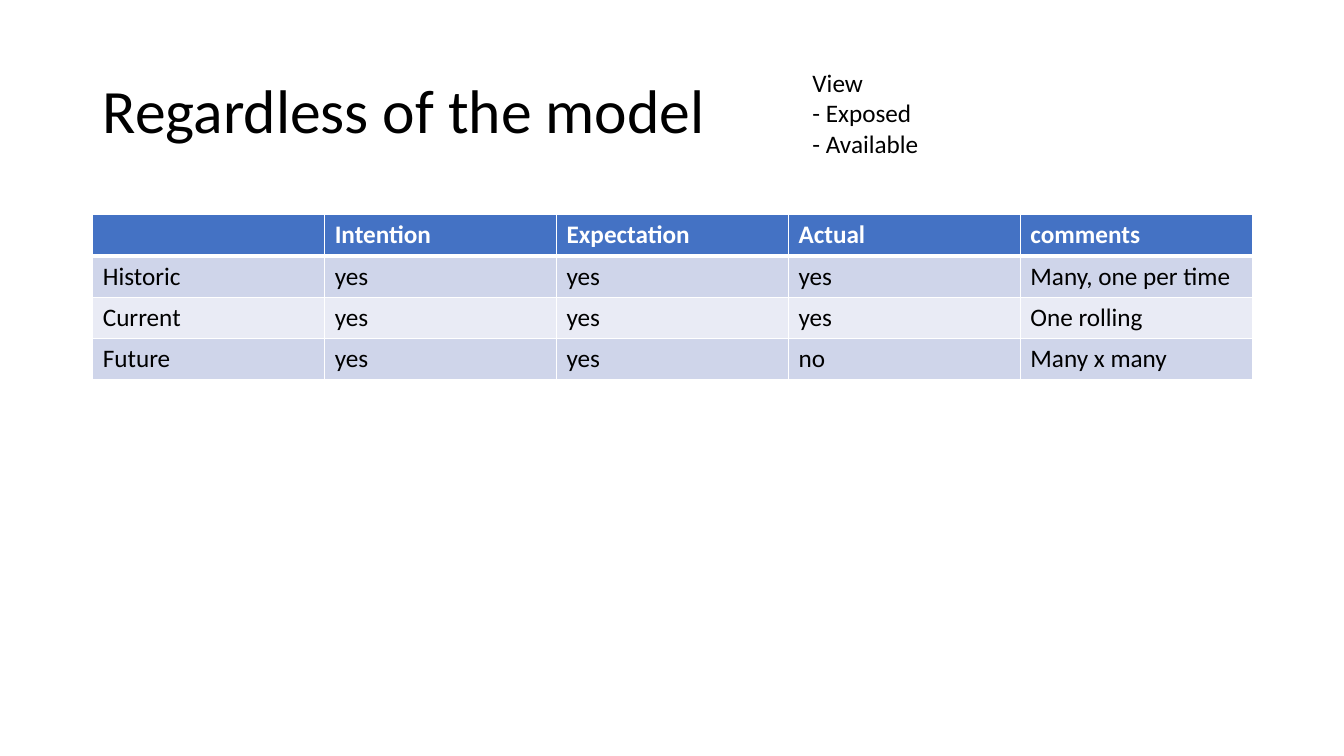
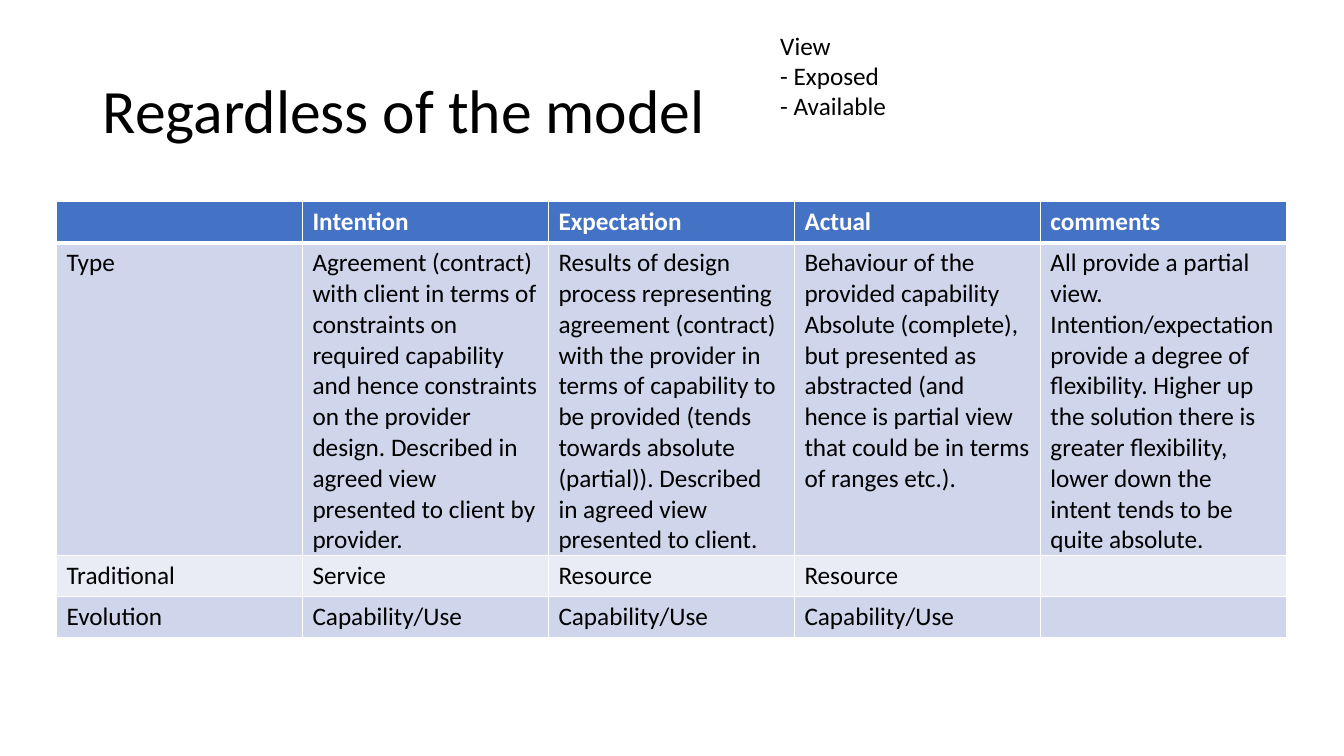
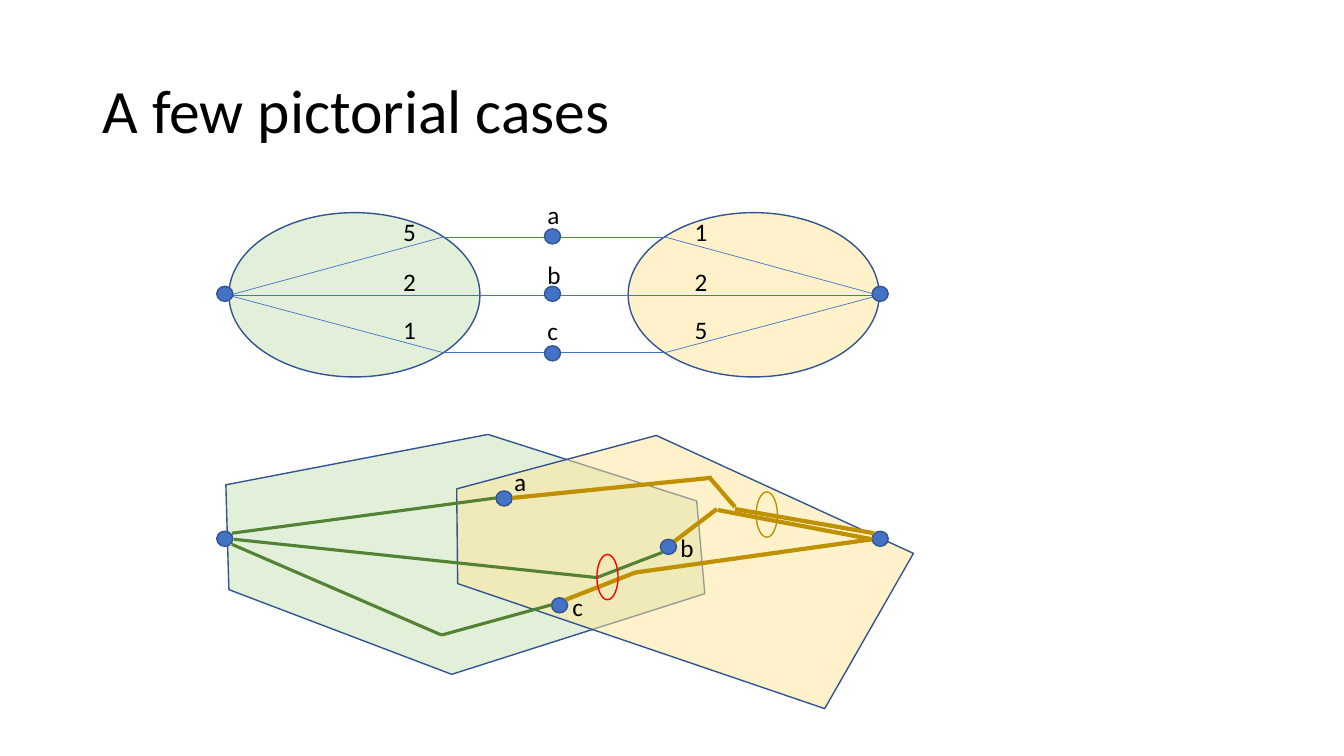
"""Build three slides: two comparison tables and a page of network diagrams."""
import itertools

import lxml.etree
import pptx
import pptx.dml.color
import pptx.enum.shapes
import pptx.enum.text
import pptx.oxml
import pptx.oxml.ns
import pptx.util

Inches = pptx.util.Inches
Pt = pptx.util.Pt
RGBColor = pptx.dml.color.RGBColor
Anchor = pptx.enum.text.MSO_ANCHOR
qn = pptx.oxml.ns.qn

FONT = "Calibri"
BLACK = RGBColor(0x00, 0x00, 0x00)
WHITE = RGBColor(0xFF, 0xFF, 0xFF)
BLUE = RGBColor(0x44, 0x72, 0xC4)
NAVY = RGBColor(0x32, 0x54, 0x91)
BAND_DARK = RGBColor(0xCF, 0xD5, 0xEA)
BAND_LIGHT = RGBColor(0xE9, 0xEB, 0xF5)
PALE_GREEN = RGBColor(0xE2, 0xF0, 0xD9)
PALE_GOLD = RGBColor(0xFF, 0xE6, 0x99)
GREEN = RGBColor(0x54, 0x82, 0x35)
GOLD = RGBColor(0xBF, 0x90, 0x00)
RED = RGBColor(0xFF, 0x00, 0x00)

ROW_HEIGHT = 0.41
VIEW_NOTE = "View\n- Exposed\n- Available"
HEADER = ("", "Intention", "Expectation", "Actual", "comments")
TABLE_PAGES = [
    {
        "title": "Regardless of the model",
        "note_at": (7.96, 0.62),
        "table_at": (0.92, 2.13),
        "column_width": 2.3,
        "row_heights": [ROW_HEIGHT] * 4,
        "rows": [
            HEADER,
            ("Historic", "yes", "yes", "yes", "Many, one per time"),
            ("Current", "yes", "yes", "yes", "One rolling"),
            ("Future", "yes", "yes", "no", "Many x many"),
        ],
    },
    {
        "title": "Regardless of the model",
        "note_at": (7.64, 0.25),
        "table_at": (0.56, 2.0),
        "column_width": 2.44,
        "row_heights": [ROW_HEIGHT, 3.09, ROW_HEIGHT, ROW_HEIGHT],
        "rows": [
            HEADER,
            (
                "Type",
                "Agreement (contract) with client in terms of constraints on required "
                "capability and hence constraints on the provider design. Described in "
                "agreed view presented to client by provider.",
                "Results of design process representing agreement (contract) with the "
                "provider in terms of capability to be provided (tends towards absolute "
                "(partial)). Described in agreed view presented to client.",
                "Behaviour of the provided capability Absolute (complete), but presented "
                "as abstracted (and hence is partial view that could be in terms of "
                "ranges etc.).",
                "All provide a partial view. Intention/expectation provide a degree of "
                "flexibility. Higher up the solution there is greater flexibility, lower "
                "down the intent tends to be quite absolute.",
            ),
            ("Traditional", "Service", "Resource", "Resource", ""),
            ("Evolution", "Capability/Use", "Capability/Use", "Capability/Use", ""),
        ],
    },
]

CASES_TITLE = "A few pictorial cases"
DOMAIN_SIZE = (2.49, 1.63)
DOMAINS = [((2.27, 2.11), PALE_GREEN, None), ((6.23, 2.11), PALE_GOLD, 50)]
LEFT_HUB, RIGHT_HUB = (2.27, 2.93), (8.72, 2.93)
LINKS = [(4.4, 6.59, 2.35), (4.76, 6.23, 2.93), (4.4, 6.59, 3.5)]
COSTS = [(3.9, "521"), (6.79, "125")]
COST_TOPS = (2.1, 2.59, 3.07)
REGIONS = [
    ([(2.24, 4.81), (4.84, 4.31), (6.91, 4.97), (6.99, 5.89), (4.48, 6.69), (2.27, 5.85)],
     PALE_GREEN, None),
    ([(6.51, 4.32), (4.53, 4.85), (4.54, 5.79), (8.18, 7.03), (9.06, 5.49)],
     PALE_GOLD, 50),
]
NODE_SIZE = (0.16, 0.15)
NODES = [
    (4.92, 4.87), (6.55, 5.35), (5.47, 5.93),
    (5.4, 2.27), (5.4, 2.84), (5.4, 3.43),
    (2.15, 5.27), (8.65, 5.27), (2.15, 2.84), (8.65, 2.84),
]
ROUTES = [
    (GREEN, 2.25, [(2.32, 5.35), (5.92, 5.73), (6.57, 5.48)]),
    (GOLD, 3, [(5.61, 5.95), (6.3, 5.68), (8.65, 5.35)]),
    (GOLD, 3, [(6.69, 5.37), (7.11, 5.05)]),
    (GOLD, 3, [(7.12, 5.06), (8.65, 5.35)]),
    (GOLD, 3, [(5.08, 4.94), (7.06, 4.74)]),
    (GOLD, 3, [(7.03, 4.73), (7.29, 5.03)]),
    (GOLD, 3, [(7.29, 5.05), (8.67, 5.29)]),
    (GREEN, 2.25, [(2.3, 5.4), (4.38, 6.3), (5.47, 6.0)]),
    (GREEN, 2.25, [(2.3, 5.29), (4.92, 4.94)]),
]
RING_SIZE = (0.21, 0.45)
RINGS = [((5.92, 5.5), RED), ((7.5, 4.88), GOLD)]
NODE_LABELS = [
    ("a", 5.33, 1.93), ("b", 5.33, 2.52), ("c", 5.33, 3.08),
    ("a", 5.0, 4.58), ("b", 6.65, 5.23), ("c", 5.58, 5.82),
]


def write(frame, text, *, size=18, color=BLACK, bold=False, spacing=None):
    """Fill a text frame, one paragraph per line of text."""
    for index, line in enumerate(text.split("\n")):
        para = frame.paragraphs[0] if index == 0 else frame.add_paragraph()
        para.line_spacing = spacing
        span = para.add_run()
        span.text = line
        span.font.name = FONT
        span.font.size = Pt(size)
        span.font.color.rgb = color
        span.font.bold = bold


def add_text(page, text, at, extent, *, wrap=True, anchor=Anchor.TOP, **style):
    """Add a text box at a place in inches."""
    box = page.shapes.add_textbox(*map(Inches, at + extent))
    box.text_frame.word_wrap = wrap
    box.text_frame.vertical_anchor = anchor
    write(box.text_frame, text, **style)


def add_page(deck, title):
    """Add a blank page with the shared title."""
    page = deck.slides.add_slide(deck.slide_layouts[6])
    add_text(page, title, (0.92, 0.4), (11.5, 1.45),
             anchor=Anchor.MIDDLE, size=44, spacing=0.9)
    return page


def set_borders(cell, top, bottom):
    """Give a cell white borders of the given widths in points."""
    properties = cell._tc.get_or_add_tcPr()
    widths = {"L": 1, "R": 1, "T": top, "B": bottom}
    for index, (side, width) in enumerate(widths.items()):
        border = pptx.oxml.parse_xml(
            f'<a:ln{side} {pptx.oxml.ns.nsdecls("a")} w="{Pt(width)}">'
            f'<a:solidFill><a:srgbClr val="{WHITE}"/></a:solidFill></a:ln{side}>')
        properties.insert(index, border)


def add_grid(page, rows, at, column_width, row_heights):
    """Add a banded table with a blue header."""
    extent = (column_width * len(rows[0]), sum(row_heights))
    table = page.shapes.add_table(
        len(rows), len(rows[0]), *map(Inches, at + extent)).table
    for column in table.columns:
        column.width = Inches(column_width)
    for index, (texts, height) in enumerate(zip(rows, row_heights)):
        header = index == 0
        table.rows[index].height = Inches(height)
        fill = BLUE if header else BAND_DARK if index % 2 else BAND_LIGHT
        for cell, text in zip(table.rows[index].cells, texts):
            cell.fill.solid()
            cell.fill.fore_color.rgb = fill
            set_borders(cell, top=3 if index == 1 else 1, bottom=3 if header else 1)
            if text:
                write(cell.text_frame, text, color=WHITE if header else BLACK, bold=header)


def paint(shape, fill, line=NAVY, opacity=None):
    """Set the fill, outline and opacity of a shape."""
    shape.shadow.inherit = False
    shape.line.color.rgb = line
    shape.line.width = Pt(1)
    if fill is None:
        shape.fill.background()
        return
    shape.fill.solid()
    shape.fill.fore_color.rgb = fill
    if opacity is not None:
        color = shape._element.spPr.find(qn("a:solidFill")).find(qn("a:srgbClr"))
        alpha = lxml.etree.SubElement(color, qn("a:alpha"))
        alpha.set("val", str(opacity * 1000))


def add_oval(page, at, extent, fill, **style):
    """Add a painted ellipse."""
    oval = page.shapes.add_shape(
        pptx.enum.shapes.MSO_SHAPE.OVAL, *map(Inches, at + extent))
    paint(oval, fill, **style)


def add_region(page, points, fill, opacity):
    """Add a closed polygon."""
    corners = [tuple(map(Inches, point)) for point in points]
    builder = page.shapes.build_freeform(*corners[0])
    builder.add_line_segments(corners[1:], close=True)
    paint(builder.convert_to_shape(), fill, opacity=opacity)


def add_route(page, points, color=BLUE, width=0.5):
    """Join successive points with straight connectors."""
    for start, end in itertools.pairwise(points):
        line = page.shapes.add_connector(
            pptx.enum.shapes.MSO_CONNECTOR.STRAIGHT, *map(Inches, start + end))
        line.line.color.rgb = color
        line.line.width = Pt(width)
        lxml.etree.SubElement(line._element.spPr, qn("a:effectLst"))


def add_label(page, text, left, top):
    """Add a one-letter label."""
    add_text(page, text, (left, top), (0.33, 0.4), wrap=False)


def draw_cases(page):
    """Draw the separate domains above and the overlapping ones below."""
    for at, fill, opacity in DOMAINS:
        add_oval(page, at, DOMAIN_SIZE, fill, opacity=opacity)
    for left, right, top in LINKS:
        add_route(page, [LEFT_HUB, (left, top), (right, top), RIGHT_HUB])
    for left, costs in COSTS:
        for cost, top in zip(costs, COST_TOPS):
            add_label(page, cost, left, top)
    for points, fill, opacity in REGIONS:
        add_region(page, points, fill, opacity)
    for at in NODES:
        add_oval(page, at, NODE_SIZE, BLUE)
    for color, width, points in ROUTES:
        add_route(page, points, color, width)
    for at, color in RINGS:
        add_oval(page, at, RING_SIZE, None, line=color)
    for label in NODE_LABELS:
        add_label(page, *label)


def main():
    """Build and save the deck."""
    deck = pptx.Presentation()
    deck.slide_width, deck.slide_height = Inches(13.33), Inches(7.5)
    for content in TABLE_PAGES:
        page = add_page(deck, content["title"])
        add_grid(page, content["rows"], content["table_at"],
                 content["column_width"], content["row_heights"])
        add_text(page, VIEW_NOTE, content["note_at"], (6.67, 1.01))
    draw_cases(add_page(deck, CASES_TITLE))
    deck.save("out.pptx")


if __name__ == "__main__":
    main()
